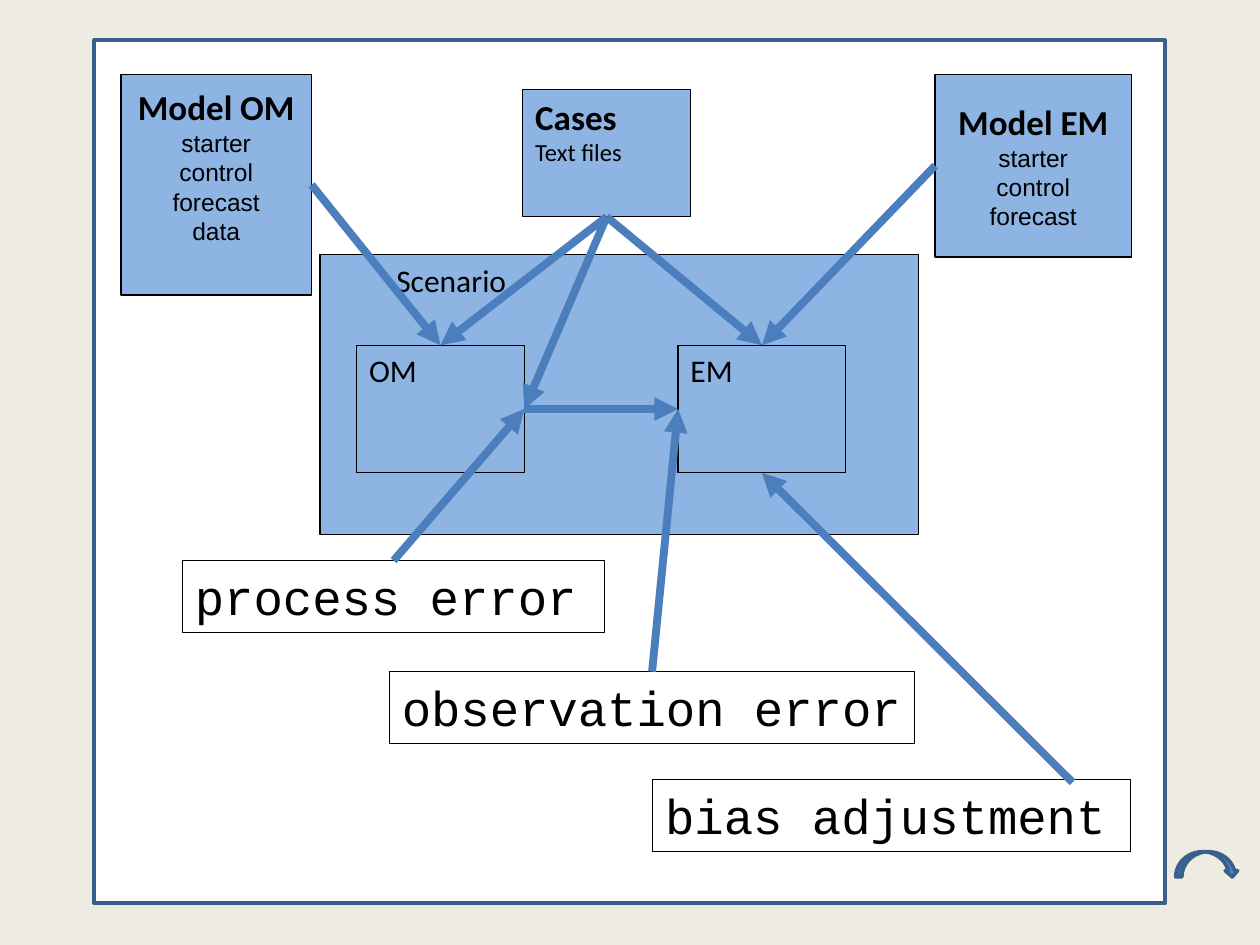
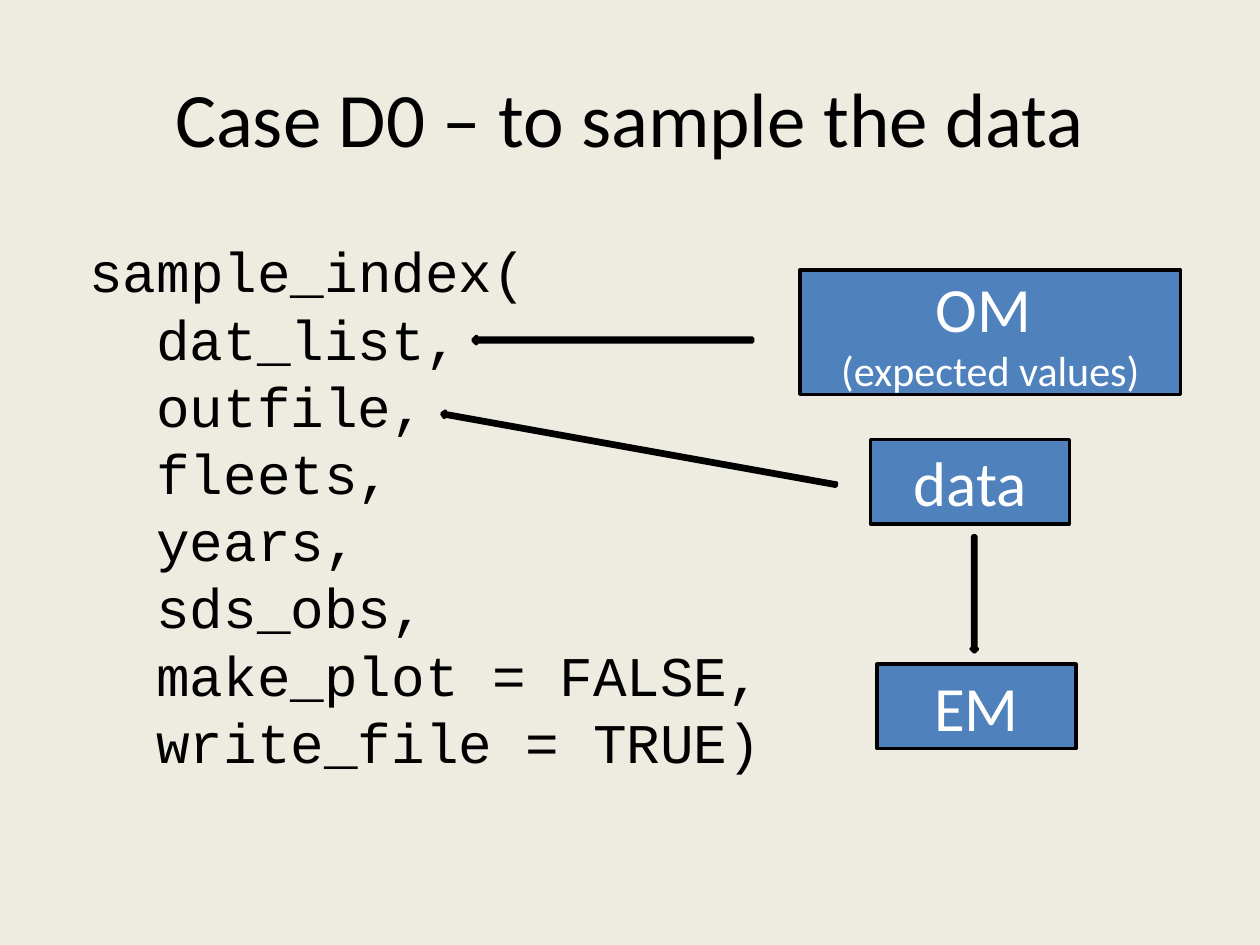
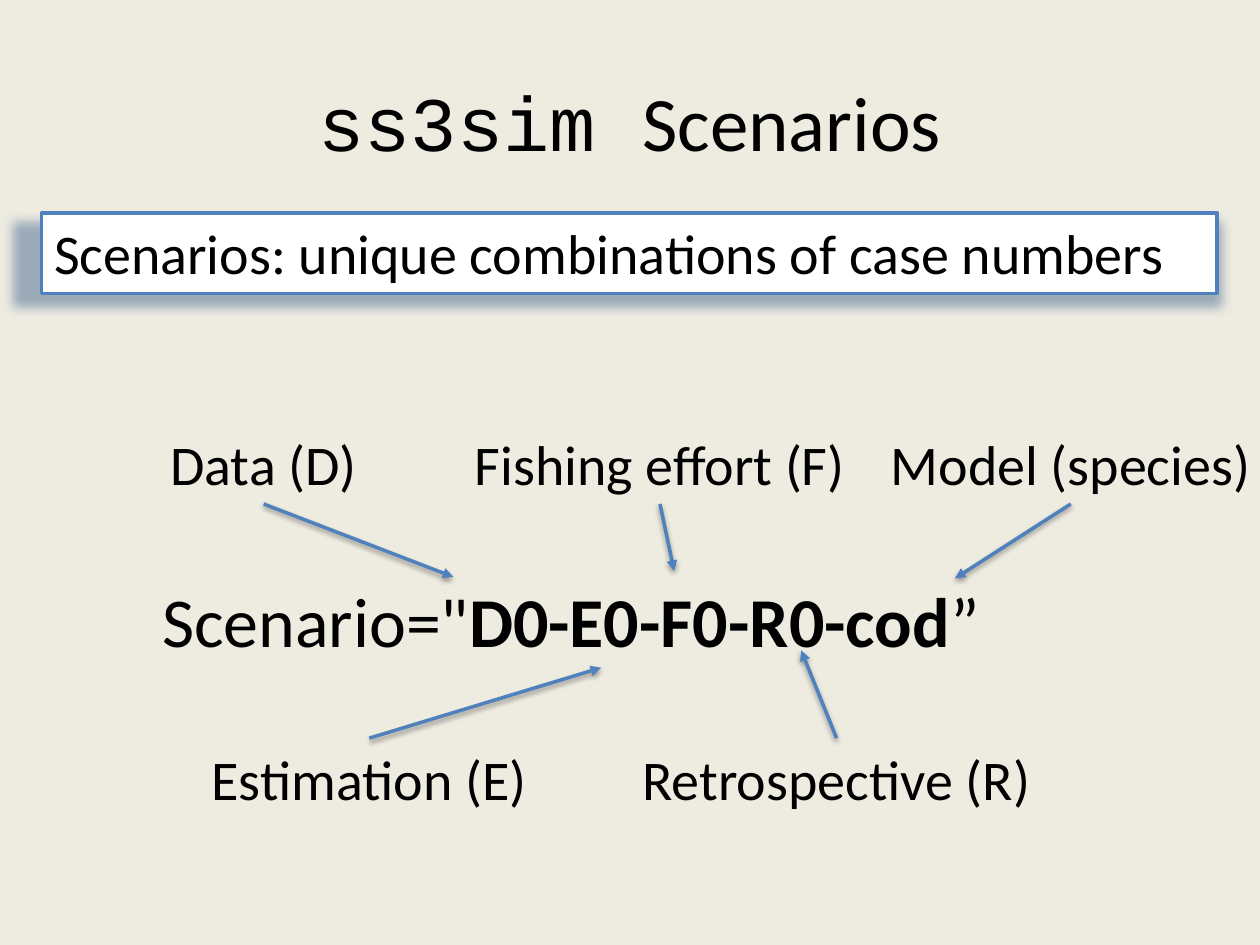
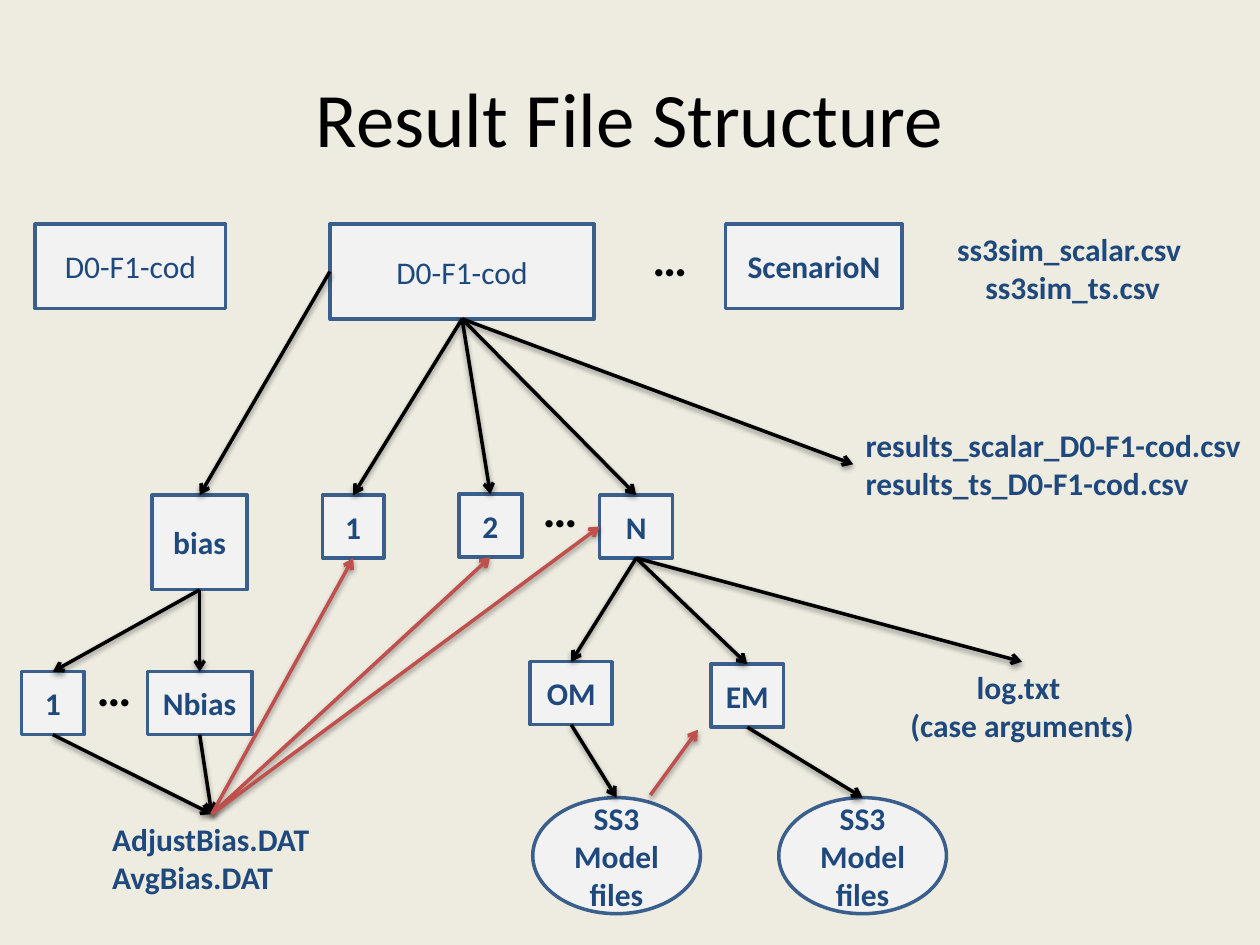
"""Build four slides on simulation scenarios, cases and result files."""
import pptx
import pptx.dml.color
import pptx.enum.shapes
import pptx.enum.text
import pptx.oxml
import pptx.oxml.ns
import pptx.util
from pptx.util import Cm, Pt

COLOURS = {
    "paper": "EEECE1", "white": "FFFFFF", "black": "000000", "sky": "8EB4E3",
    "blue": "4F81BD", "steel": "4B7EBC", "edge": "3A5F8C", "navy": "1F497D",
    "mist": "F2F2F2", "red": "C0504D",
}
SHAPE = pptx.enum.shapes.MSO_SHAPE
ALIGN = {"left": pptx.enum.text.PP_ALIGN.LEFT, "center": pptx.enum.text.PP_ALIGN.CENTER}
ANCHOR = {"top": pptx.enum.text.MSO_ANCHOR.TOP, "middle": pptx.enum.text.MSO_ANCHOR.MIDDLE}
TOP, LEFT, BOTTOM, RIGHT = range(4)
SANS, MONO, PLAIN = "Calibri", "Courier New", "Arial"
LINE_SHADOW = ("black", 38, 3.1, 1.6, 90, 100)
PANEL_SHADOW = ("navy", 40, 6, 6, 80, 102.5)


def rgb(name):
    return pptx.dml.color.RGBColor.from_string(COLOURS[name])


class Deck:
    """Hold the shared style and the current page."""

    def __init__(self):
        self.show = pptx.Presentation()
        self.show.slide_width, self.show.slide_height = Cm(25.4), Cm(19.05)
        self.page = None

    def add_page(self):
        self.page = self.show.slides.add_slide(self.show.slide_layouts[6])
        fill = self.page.background.fill
        fill.solid()
        fill.fore_color.rgb = rgb("paper")

    def title(self, line, top=0.76):
        self.text((1.27, top, 22.86, 3.18), [line], size=44, align="center", anchor="middle")

    def shape(self, area, fill, edge, width=2.0, kind=SHAPE.RECTANGLE, turn=0, shadow=None):
        shape = self.page.shapes.add_shape(kind, *map(Cm, area))
        shape.rotation = turn
        shape.fill.solid()
        shape.fill.fore_color.rgb = rgb(fill)
        shape.line.color.rgb = rgb(edge)
        shape.line.width = Pt(width)
        shape.shadow.inherit = False
        if shadow:
            self.cast(shape, shadow)
        return shape

    def box(self, area, lines, fill, edge, width=2.0, kind=SHAPE.RECTANGLE, shadow=None, **style):
        box = self.shape(area, fill, edge, width, kind, shadow=shadow)
        self.fill_text(box.text_frame, lines, **style)
        return box

    def text(self, area, lines, **style):
        box = self.page.shapes.add_textbox(*map(Cm, area))
        self.fill_text(box.text_frame, lines, **style)
        return box

    def fill_text(self, frame, lines, size=18, font=SANS, bold=False, colour="black",
                  align="left", anchor="top", insets=None):
        frame.word_wrap = True
        frame.vertical_anchor = ANCHOR[anchor]
        if insets:
            (frame.margin_left, frame.margin_top,
             frame.margin_right, frame.margin_bottom) = map(Cm, insets)
        for index, line in enumerate(lines):
            para = frame.add_paragraph() if index else frame.paragraphs[0]
            look = {"text": line, "size": size, "font": font, "bold": bold, "indent": 0}
            if isinstance(line, dict):
                look.update(line)
            para.alignment = ALIGN[align]
            para.font.size = Pt(look["size"])
            para.font.color.rgb = rgb(colour)
            if look["indent"]:
                para._p.get_or_add_pPr().set("marL", str(Cm(look["indent"])))
            if isinstance(look["text"], list):
                for words, face, heavy in look["text"]:
                    span = para.add_run()
                    span.text, span.font.name, span.font.bold = words, face, heavy
            else:
                para.add_run().text = look["text"]
                para.font.name, para.font.bold = look["font"], look["bold"]

    def arrow(self, start, end, colour, width=2.0, head="triangle", shadow=None):
        joined = [hasattr(spot[0], "shape_id") for spot in (start, end)]
        points = [(0, 0) if fixed else spot for fixed, spot in zip(joined, (start, end))]
        line = self.page.shapes.add_connector(
            pptx.enum.shapes.MSO_CONNECTOR.STRAIGHT, *map(Cm, points[0] + points[1]))
        if joined[0]:
            line.begin_connect(*start)
        if joined[1]:
            line.end_connect(*end)
        line.line.color.rgb = rgb(colour)
        line.line.width = Pt(width)
        tail = pptx.oxml.parse_xml(
            f'<a:tailEnd {pptx.oxml.ns.nsdecls("a")} type="{head}"/>')
        line.line._get_or_add_ln().append(tail)
        self.cast(line, shadow)

    def cast(self, item, shadow):
        inner = ""
        if shadow:
            colour, alpha, blur, distance, angle, scale = shadow
            inner = (f'<a:outerShdw blurRad="{Pt(blur)}" dist="{Pt(distance)}" '
                     f'dir="{angle * 60000}" sx="{int(scale * 1000)}" algn="r" rotWithShape="0">'
                     f'<a:srgbClr val="{COLOURS[colour]}"><a:alpha val="{alpha * 1000}"/>'
                     '</a:srgbClr></a:outerShdw>')
        properties = item._element.spPr
        for old in properties.findall(pptx.oxml.ns.qn("a:effectLst")):
            properties.remove(old)
        properties.append(pptx.oxml.parse_xml(
            f'<a:effectLst {pptx.oxml.ns.nsdecls("a")}>{inner}</a:effectLst>'))


def model_flow(deck):
    deck.add_page()
    deck.shape((1.9, 0.81, 21.59, 17.4), "white", "edge")

    def blue_box(area, lines, **style):
        return deck.box(area, lines, "sky", "black", 0.75, **style)

    def model_box(area, name, files, bottom):
        heading = {"text": name, "size": 20, "font": SANS, "bold": True}
        return blue_box(area, [heading] + files, size=14, font=PLAIN, align="center",
                        anchor="middle", insets=(0.18, 0.05, 0.18, bottom))

    def error_box(left, top, width, name):
        return deck.box((left, top, width, 1.45), [name], "white", "black", 0.75,
                        size=28, font=MONO)

    cases = blue_box((10.54, 1.8, 3.38, 2.57),
                     [{"text": "Cases", "size": 20, "bold": True}, "Text files"], size=14)
    files = ["starter", "control", "forecast"]
    model_om = model_box((2.44, 1.5, 3.84, 4.45), "Model OM", files + ["data"], 0.82)
    model_em = model_box((18.85, 1.5, 3.96, 3.68), "Model EM", files, 0.05)
    blue_box((6.45, 5.13, 12.07, 5.64), [{"text": "Scenario", "indent": 1.29}])
    om, em = [blue_box((left, 6.96, 3.38, 2.57), [name])
              for left, name in ((7.19, "OM"), (13.67, "EM"))]
    error_box(13.16, 15.72, 9.63, "bias adjustment")
    process = error_box(3.68, 11.3, 8.51, "process error")
    observation = error_box(7.85, 13.54, 10.59, "observation error")
    for start, end in (
        ((model_om, RIGHT), (om, TOP)),
        ((model_em, LEFT), (em, TOP)),
        ((om, RIGHT), (em, LEFT)),
        ((observation, TOP), (em, LEFT)),
        ((process, TOP), (om, RIGHT)),
        ((21.62, 15.77), (em, BOTTOM)),
        ((cases, BOTTOM), (om, TOP)),
        ((cases, BOTTOM), (om, RIGHT)),
        ((cases, BOTTOM), (em, TOP)),
    ):
        deck.arrow(start, end, "steel", 4.5)
    deck.shape((23.7, 17.17, 1.27, 0.51), "blue", "edge", kind=SHAPE.CURVED_DOWN_ARROW)


def sample_data(deck):
    deck.add_page()
    deck.title("Case D0 – to sample the data")
    for area, lines in (
        ((16.13, 5.44, 7.67, 2.51), ["OM ", {"text": "(expected values)", "size": 24}]),
        ((17.55, 8.86, 4.01, 1.7), ["data"]),
        ((17.68, 13.39, 4.01, 1.7), ["EM"]),
    ):
        deck.box(area, lines, "blue", "black", size=36, colour="white",
                 align="center", anchor="middle")
    arguments = ["dat_list,", "outfile,", "fleets,", "years,", "sds_obs,",
                 "make_plot = FALSE,", "write_file = TRUE)"]
    deck.text((1.55, 4.65, 14.38, 11.2),
              ["sample_index("] + [{"text": line, "indent": 1.35} for line in arguments],
              size=32, font=MONO)
    for area, turn in (
        ((9.53, 6.78, 5.64, 0.15), 180),
        ((8.84, 8.99, 8.08, 0.13), 190.2),
        ((18.47, 11.91, 2.34, 0.13), 90),
    ):
        deck.shape(area, "blue", "black", kind=SHAPE.RIGHT_ARROW, turn=turn)


def scenario_name(deck):
    deck.add_page()
    deck.title({"text": [("ss3sim ", MONO, False), ("Scenarios", SANS, False)]}, 0.84)
    deck.box((0.84, 4.29, 23.7, 1.63), ["Scenarios: unique combinations of case numbers"],
             "white", "blue", shadow=PANEL_SHADOW, size=32)
    deck.text((3.02, 11.51, 17.07, 1.96),
              [{"text": [('Scenario="', SANS, False), ("D0-E0-F0-R0-cod", SANS, True),
                         ("”", SANS, False)]}], size=40)
    upper, lower = (8.53, BOTTOM), (14.88, TOP)
    for name, left, width, (top, side), tip in (
        ("Fishing effort (F)", 9.09, 8.43, upper, (13.59, 11.51)),
        ("Estimation (E)", 3.23, 8.43, lower, (12.12, 13.46)),
        ("Data (D)", 1.9, 6.83, upper, (9.14, 11.63)),
        ("Retrospective (R)", 12.65, 8.43, lower, (16.15, 13.11)),
        ("Model (species)", 17.37, 8.43, upper, (19.25, 11.66)),
    ):
        label = deck.text((left, top, width, 1.63), [name], size=32, align="center")
        deck.arrow((label, side), tip, "blue", shadow=LINE_SHADOW)


def result_files(deck):
    deck.add_page()
    deck.title("Result File Structure")

    def folder(area, name, bold=True, kind=SHAPE.RECTANGLE):
        return deck.box(area, [name], "mist", "edge", kind=kind, bold=bold, colour="navy",
                        align="center", anchor="middle")

    def files(left, top, width, lines, align="left"):
        return deck.text((left, top, width, 1.8), lines, bold=True, colour="navy", align=align)

    folder((0.71, 4.52, 3.84, 1.7), "D0-F1-cod", bold=False)
    scenario = folder((6.65, 4.52, 5.33, 1.91), "D0-F1-cod", bold=False)
    folder((14.63, 4.52, 3.56, 1.7), "ScenarioN")
    bias = folder((3.07, 9.98, 1.91, 1.91), "bias")
    bias_first = folder((0.43, 13.54, 1.27, 1.27), "1")
    bias_last = folder((2.97, 13.54, 2.11, 1.27), "Nbias")
    run_first = folder((6.5, 9.98, 1.24, 1.27), "1")
    run_second = folder((9.25, 9.96, 1.27, 1.27), "2")
    run_last = folder((12.09, 9.98, 1.47, 1.27), "N")
    om = folder((10.69, 13.34, 1.65, 1.27), "OM")
    em = folder((14.33, 13.39, 1.47, 1.27), "EM")
    om_files, em_files = [folder((left, 16.08, 3.38, 2.34), "SS3 Model files", kind=SHAPE.OVAL)
                          for left in (10.74, 15.7)]
    for left, top in ((1.7, 13.13), (10.69, 9.53), (12.9, 4.47)):
        deck.text((left, top, 0.84, 1.45), ["…"], size=28, bold=True)
    results = files(17.2, 8.46, 8.13,
                    ["results_scalar_D0-F1-cod.csv", "results_ts_D0-F1-cod.csv"])
    adjust = files(2.01, 16.41, 4.52, ["AdjustBias.DAT", "AvgBias.DAT"])
    log = files(18.08, 13.34, 5.05, ["log.txt ", "(case arguments)"], "center")
    files(19.02, 4.52, 5.21, ["ss3sim_scalar.csv ", "ss3sim_ts.csv"], "center")

    for start, side, ends in (
        (scenario, LEFT, [(bias, TOP)]),
        (scenario, BOTTOM, [(run_first, TOP), (run_second, TOP), (run_last, TOP),
                            (results, LEFT)]),
        (bias, BOTTOM, [(bias_first, TOP), (bias_last, TOP)]),
        (bias_first, BOTTOM, [(adjust, TOP)]),
        (bias_last, BOTTOM, [(adjust, TOP)]),
        (run_last, BOTTOM, [(om, TOP), (em, TOP), (log, TOP)]),
        (om, BOTTOM, [(om_files, TOP)]),
        (em, BOTTOM, [(em_files, TOP)]),
    ):
        for end in ends:
            deck.arrow((start, side), end, "black", head="arrow", shadow=LINE_SHADOW)
    for start, end in (
        ((adjust, TOP), (run_first, BOTTOM)),
        ((adjust, TOP), (run_second, BOTTOM)),
        ((adjust, TOP), (run_last, LEFT)),
        ((13.11, 16.03), (14.07, 14.71)),
    ):
        deck.arrow(start, end, "red", head="arrow", shadow=LINE_SHADOW)


def main():
    deck = Deck()
    for build in (model_flow, sample_data, scenario_name, result_files):
        build(deck)
    deck.show.save("out.pptx")


if __name__ == "__main__":
    main()
